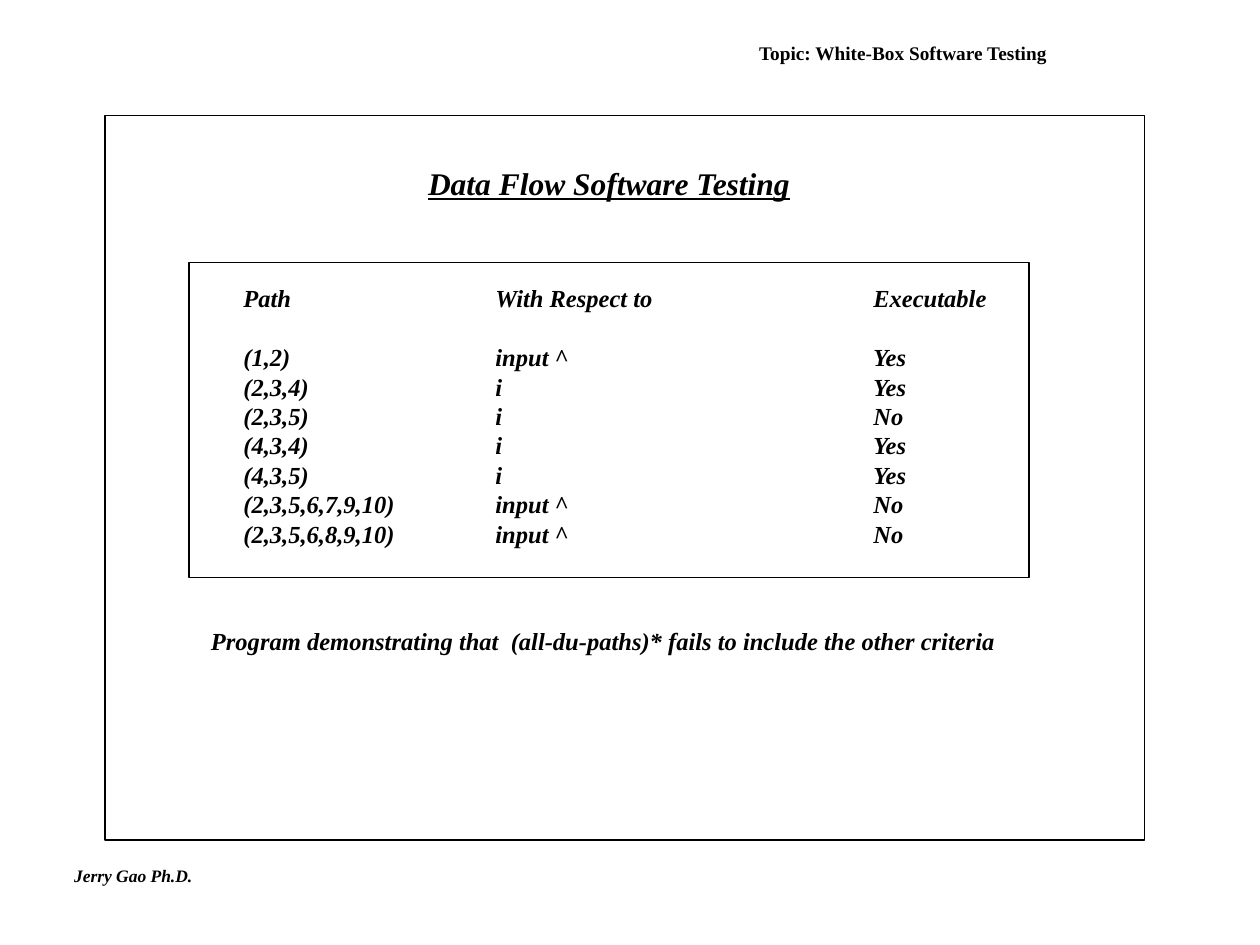
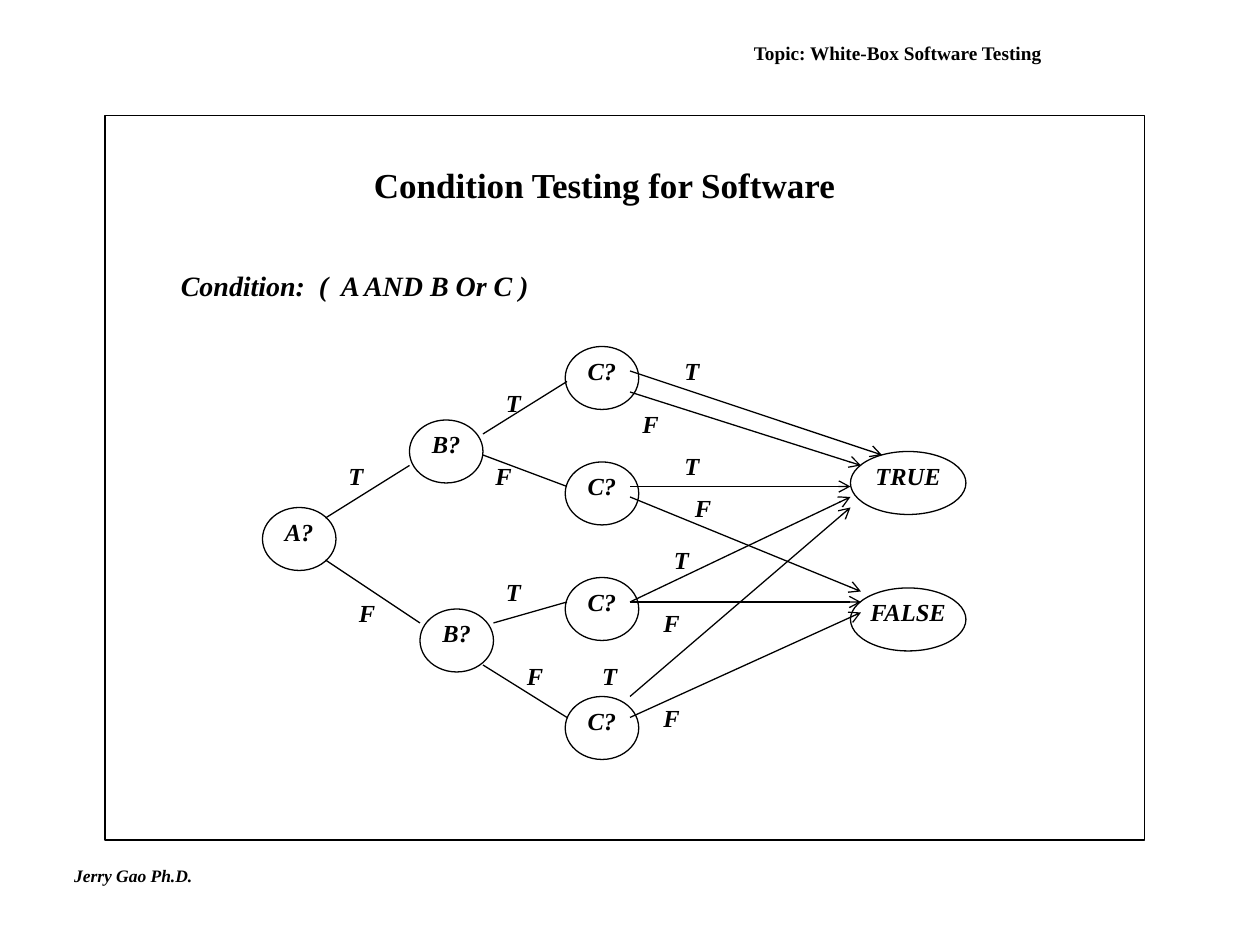
from lxml import etree
from pptx import Presentation
from pptx.dml.color import RGBColor
from pptx.enum.shapes import MSO_CONNECTOR, MSO_SHAPE
from pptx.enum.text import MSO_ANCHOR, MSO_AUTO_SIZE, PP_ALIGN
from pptx.oxml.ns import qn
from pptx.util import Pt

RECTANGLE, OVAL, STRAIGHT = MSO_SHAPE.RECTANGLE, MSO_SHAPE.OVAL, MSO_CONNECTOR.STRAIGHT
TOP, MIDDLE = MSO_ANCHOR.TOP, MSO_ANCHOR.MIDDLE
LEFT, CENTER = PP_ALIGN.LEFT, PP_ALIGN.CENTER
GROW = MSO_AUTO_SIZE.SHAPE_TO_FIT_TEXT

BLACK = RGBColor(0x00, 0x00, 0x00)
LINE_WIDTH = Pt(0.75)
BASE = {"name": "Times New Roman", "bold": True}
TOPIC_STYLE = BASE | {"size": Pt(11)}
BODY_STYLE = BASE | {"size": Pt(14), "italic": True}
AUTHOR_STYLE = BODY_STYLE | {"size": Pt(10)}
CONDITION_STYLE = BODY_STYLE | {"size": Pt(16)}
FLOW_TITLE_STYLE = BODY_STYLE | {"size": Pt(18), "underline": True}
TREE_TITLE_STYLE = BASE | {"size": Pt(20)}

FRAME = (60, 66, 594, 414)
TITLE_BOX = (144, 90, 408, 30)
HEADER_RIGHT = 648

PATH_BOX = (108, 150, 480, 180)
PATH_TABS = (144, 360)
PATH_LINE = Pt(16.8)
PATH_ROWS = [
    ("Path", "With Respect to", "Executable"),
    ("(1,2)", "input ^", "Yes"),
    ("(2,3,4)", "i", "Yes"),
    ("(2,3,5)", "i", "No"),
    ("(4,3,4)", "i", "Yes"),
    ("(4,3,5)", "i", "Yes"),
    ("(2,3,5,6,7,9,10)", "input ^", "No"),
    ("(2,3,5,6,8,9,10)", "input ^", "No"),
]

TREE_ORIGIN = (150, 198)
NODE_WIDTH, OUTCOME_WIDTH, NODE_HEIGHT = 42, 66, 36
# text, left, top, width
NODES = [
    ("A?", 0, 92, NODE_WIDTH),
    ("B?", 84, 42, NODE_WIDTH),
    ("B?", 90, 150, NODE_WIDTH),
    *[("C?", 173, top, NODE_WIDTH) for top in (0, 66, 132, 200)],
    ("TRUE", 336, 60, OUTCOME_WIDTH),
    ("FALSE", 336, 138, OUTCOME_WIDTH),
]
# label, label corner, start, end
BRANCHES = [
    ("T", (42, 62), (36, 98), (84, 68)),
    ("F", (48, 140), (36, 122), (90, 158)),
    ("T", (132, 20), (126, 50), (174, 20)),
    ("F", (126, 62), (126, 62), (174, 80)),
    ("T", (132, 128), (132, 158), (174, 146)),
    ("F", (144, 176), (126, 182), (174, 212)),
]
OUTCOMES = [
    ("T", (234, 2), (210, 14), (354, 62)),
    ("F", (210, 32), (210, 26), (342, 68)),
    ("T", (234, 56), (210, 80), (336, 80)),
    ("F", (240, 80), (210, 86), (342, 140)),
    ("T", (228, 110), (210, 146), (336, 86)),
    ("F", (222, 146), (210, 146), (342, 146)),
    ("T", (187, 176), (210, 200), (336, 92)),
    ("F", (222, 200), (210, 212), (342, 152)),
]


def write(para, text, style, align=LEFT):
    para.alignment = align
    span = para.add_run()
    span.text = text
    for name, value in style.items():
        setattr(span.font, name, value)
    span.font.color.rgb = BLACK


def add_text(page, box, text, style, align=LEFT, anchor=TOP, wrap=True):
    frame = page.shapes.add_textbox(*map(Pt, box)).text_frame
    frame.word_wrap = wrap
    frame.vertical_anchor = anchor
    if not wrap:
        frame.auto_size = GROW
    write(frame.paragraphs[0], text, style, align)


def add_outline(page, kind, box):
    shape = page.shapes.add_shape(kind, *map(Pt, box))
    shape.shadow.inherit = False
    shape.fill.background()
    shape.line.color.rgb = BLACK
    shape.line.width = LINE_WIDTH
    return shape


def add_node(page, box, text):
    frame = add_outline(page, OVAL, box).text_frame
    frame.margin_left = frame.margin_right = frame.margin_top = frame.margin_bottom = 0
    frame.vertical_anchor = TOP
    frame.word_wrap = True
    write(frame.paragraphs[0], text, BODY_STYLE, CENTER)


def add_line(page, start, end, arrow):
    line = page.shapes.add_connector(STRAIGHT, *map(Pt, start + end))
    line.line.color.rgb = BLACK
    line.line.width = LINE_WIDTH
    properties = line._element.spPr
    if arrow:
        etree.SubElement(properties.find(qn("a:ln")), qn("a:tailEnd"), type="arrow")
    etree.SubElement(properties, qn("a:effectLst"))


def add_page(deck, title, title_style, header_left):
    """Add a page with the author, frame, topic and title that every page has."""
    page = deck.slides.add_slide(deck.slide_layouts[6])
    add_text(page, (35.3, 491, 82, 19.4), "Jerry Gao Ph.D.", AUTHOR_STYLE, wrap=False)
    add_outline(page, RECTANGLE, FRAME)
    add_text(page, (header_left, 24, HEADER_RIGHT - header_left, 12),
             "Topic: White-Box Software Testing", TOPIC_STYLE, CENTER, MIDDLE)
    add_text(page, TITLE_BOX, title, title_style, CENTER)
    return page


def add_path_list(page, box):
    left, top, width, height = box
    add_outline(page, RECTANGLE, box)
    text_box = (left + 24, top + 8.4, width - 34, height - 22)
    frame = page.shapes.add_textbox(*map(Pt, text_box)).text_frame
    frame.word_wrap = True
    for index, row in enumerate(PATH_ROWS):
        para = frame.add_paragraph() if index else frame.paragraphs[0]
        para.line_spacing = PATH_LINE
        if index == 0:
            para.space_after = PATH_LINE
        tabs = etree.SubElement(para._p.get_or_add_pPr(), qn("a:tabLst"))
        for stop in PATH_TABS:
            etree.SubElement(tabs, qn("a:tab"), pos=str(Pt(stop)), algn="l")
        write(para, "\t".join(row), BODY_STYLE)


def add_condition_tree(page, origin):
    def place(point):
        return origin[0] + point[0], origin[1] + point[1]

    for text, left, top, width in NODES:
        add_node(page, (*place((left, top)), width, NODE_HEIGHT), text)
    for edges, arrow in ((BRANCHES, False), (OUTCOMES, True)):
        for label, corner, start, end in edges:
            add_line(page, place(start), place(end), arrow)
            add_text(page, (*place(corner), 23.4, 24.4), label, BODY_STYLE, wrap=False)


def build_data_flow(deck):
    page = add_page(deck, "Data Flow Software Testing", FLOW_TITLE_STYLE, 384)
    add_path_list(page, PATH_BOX)
    add_text(page, (113.5, 354, 463, 24.4),
             "Program demonstrating that  (all-du-paths)* fails to include the other criteria",
             BODY_STYLE, wrap=False)


def build_condition(deck):
    page = add_page(deck, "Condition Testing for Software ", TREE_TITLE_STYLE, 378)
    add_condition_tree(page, TREE_ORIGIN)
    add_text(page, (96.3, 150, 215, 26.5), "Condition:  (  A AND B Or C )",
             CONDITION_STYLE, wrap=False)


def main():
    deck = Presentation()
    deck.slide_width, deck.slide_height = Pt(720), Pt(540)
    build_data_flow(deck)
    build_condition(deck)
    deck.save("out.pptx")


if __name__ == "__main__":
    main()
